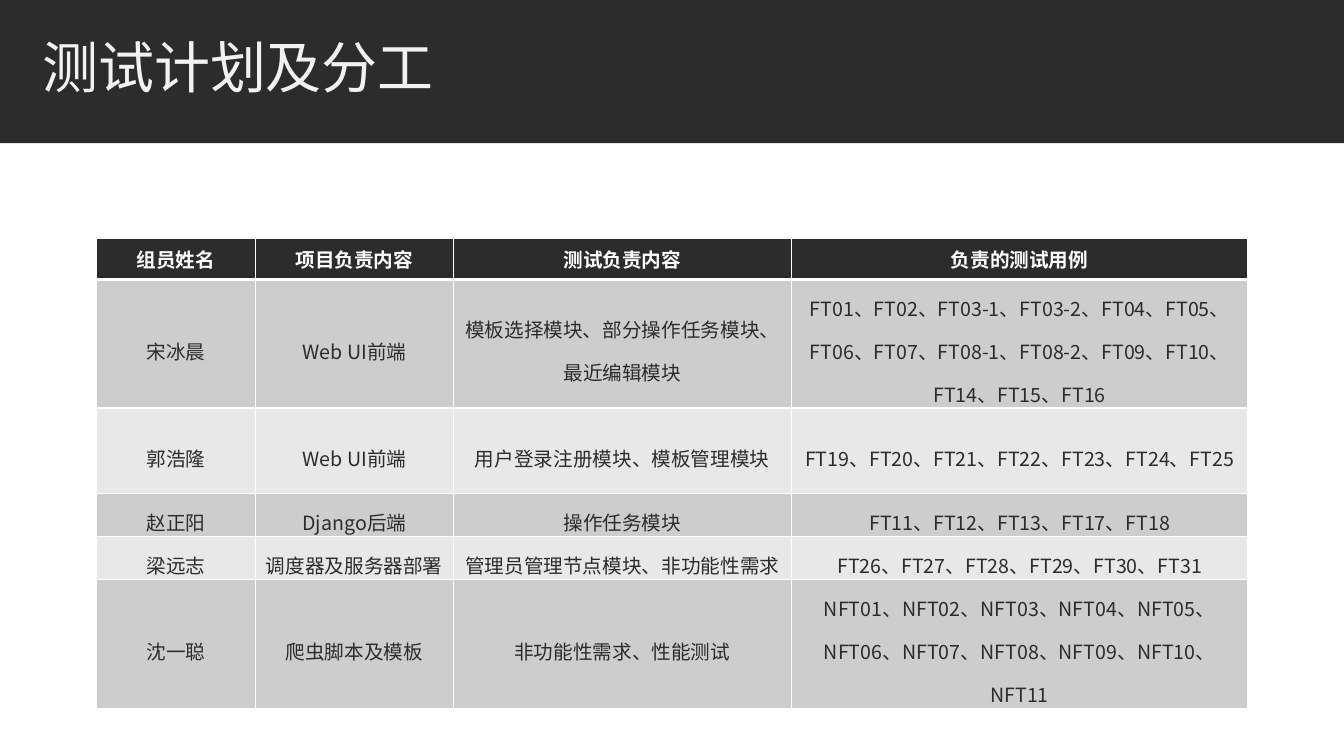
from pptx import Presentation
from pptx.dml.color import RGBColor
from pptx.enum.shapes import MSO_SHAPE as Shape
from pptx.enum.text import MSO_ANCHOR as Anchor, PP_ALIGN as Align
from pptx.oxml import parse_xml
from pptx.oxml.ns import nsdecls
from pptx.util import Cm, Pt

FONT = "Noto Sans CJK SC"
DARK, WHITE, PALE = "2C2C2C", "FFFFFF", "F2F2F2"
BANDS = ("CDCDCD", "E8E8E8")
COLS = (3.99, 5.0, 8.51, 11.51)
ROW = 1.04
HEAD = ("组员姓名", "项目负责内容", "测试负责内容", "负责的测试用例")
TEAM = (
    ("宋冰晨", "Web UI前端", "模板选择模块、部分操作任务模块、最近编辑模块",
     "FT01、FT02、FT03-1、FT03-2、FT04、FT05、FT06、FT07、FT08-1、FT08-2、"
     "FT09、FT10、FT14、FT15、FT16"),
    ("郭浩隆", "Web UI前端", "用户登录注册模块、模板管理模块",
     "FT19、FT20、FT21、FT22、FT23、FT24、FT25"),
    ("赵正阳", "Django后端", "操作任务模块", "FT11、FT12、FT13、FT17、FT18"),
    ("梁远志", "调度器及服务器部署", "管理员管理节点模块、非功能性需求",
     "FT26、FT27、FT28、FT29、FT30、FT31"),
    ("沈一聪", "爬虫脚本及模板", "非功能性需求、性能测试",
     "NFT01、NFT02、NFT03、NFT04、NFT05、NFT06、NFT07、NFT08、"
     "NFT09、NFT10、NFT11"),
)


def paint(fill, color):
    fill.solid()
    fill.fore_color.rgb = RGBColor.from_string(color)


def write(frame, text, size=14, color=DARK, bold=False, align=Align.CENTER, space=None):
    frame.word_wrap = True
    para = frame.paragraphs[0]
    para.alignment, para.line_spacing = align, space
    run = para.add_run()
    run.text = text
    font = run.font
    font.name, font.size, font.bold = FONT, Pt(size), bold
    paint(font.fill, color)
    # East Asian typeface follows the Latin one
    latin = font._element.find("{*}latin")
    latin.addnext(parse_xml(f'<a:ea {nsdecls("a")} typeface="{FONT}"/>'))


def edge(cell, base):
    # Borders come before the fill in the cell properties
    props = cell._tc.get_or_add_tcPr()
    for spot, side in enumerate("LRTB"):
        width = Pt(base if side == "B" else 1)
        props.insert(spot, parse_xml(
            f'<a:ln{side} {nsdecls("a")} w="{width}"><a:solidFill>'
            f'<a:srgbClr val="{WHITE}"/></a:solidFill></a:ln{side}>'))


def banner(slide, left, top, width, height):
    # Dark band
    band = slide.shapes.add_shape(Shape.RECTANGLE, Cm(left), Cm(top), Cm(width), Cm(height))
    band.shadow.inherit = False
    paint(band.fill, DARK)
    band.line.fill.background()
    # Title, raised above the band
    title = slide.shapes.title
    band._element.addnext(title._element)
    title.left, title.top = Cm(left + 0.81), Cm(top + 0.66)
    title.width, title.height = Cm(27.18), Cm(2.29)
    frame = title.text_frame
    frame.vertical_anchor = Anchor.MIDDLE
    write(frame, "测试计划及分工", size=40, color=PALE, align=Align.LEFT, space=0.85)


def plan(slide, left, top):
    rows = (HEAD, *TEAM)
    grid = slide.shapes.add_table(len(rows), len(COLS), Cm(left), Cm(top),
                                  Cm(sum(COLS)), Cm(ROW * len(rows))).table
    for col, width in zip(grid.columns, COLS):
        col.width = Cm(width)
    for y, texts in enumerate(rows):
        grid.rows[y].height = Cm(ROW)
        for x, text in enumerate(texts):
            cell = grid.cell(y, x)
            cell.vertical_anchor = Anchor.MIDDLE
            if y == 0:
                # Header row
                paint(cell.fill, DARK)
                write(cell.text_frame, text, color=WHITE, bold=True)
            else:
                # Member rows in alternating greys
                paint(cell.fill, BANDS[(y - 1) % 2])
                cell.margin_left = cell.margin_right = Cm(0.18)
                cell.margin_top = cell.margin_bottom = 0
                write(cell.text_frame, text, space=1.5)
            edge(cell, 1 if y else 3)


def main():
    deck = Presentation()
    deck.slide_width, deck.slide_height = Cm(33.87), Cm(19.05)
    slide = deck.slides.add_slide(deck.slide_layouts[5])
    banner(slide, 0, 0, 33.87, 3.61)
    plan(slide, 2.44, 6.0)
    deck.save("out.pptx")


if __name__ == "__main__":
    main()
